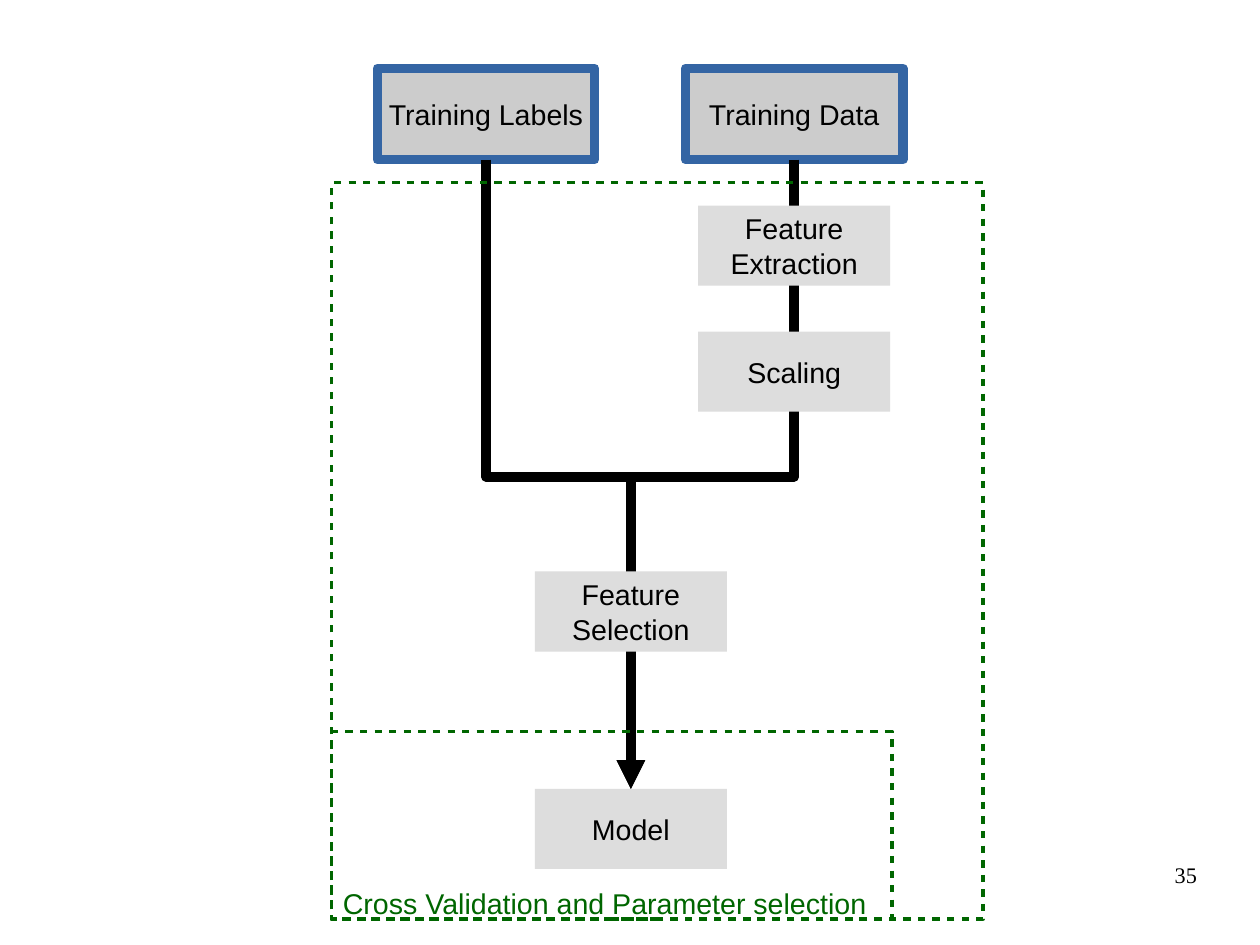
from dataclasses import dataclass

from lxml import etree
from pptx import Presentation
from pptx.dml.color import RGBColor
from pptx.enum.shapes import MSO_CONNECTOR, MSO_SHAPE
from pptx.enum.text import MSO_ANCHOR, PP_ALIGN
from pptx.oxml.ns import qn
from pptx.util import Cm, Pt

RECT = MSO_SHAPE.RECTANGLE
ELBOW = MSO_CONNECTOR.ELBOW
MIDDLE = MSO_ANCHOR.MIDDLE
TOP = MSO_ANCHOR.TOP
LEFT, CENTER, RIGHT = PP_ALIGN.LEFT, PP_ALIGN.CENTER, PP_ALIGN.RIGHT


@dataclass(frozen=True)
class Theme:
    ink: str = "000000"
    input: str = "CCCCCC"
    step: str = "DDDDDD"
    blue: str = "3465A4"
    green: str = "006600"
    sans: str = "Arial"
    serif: str = "Times New Roman"
    body: float = 18
    small: float = 14
    thick: float = 6
    thin: float = 2.3


THEME = Theme()


def stroke(shape, color, width, dash=False):
    shape.line.color.rgb = RGBColor.from_string(color)
    shape.line.width = Pt(width)
    line = shape.element.spPr.find(qn("a:ln"))
    if dash:
        dashes = etree.SubElement(line, qn("a:custDash"))
        etree.SubElement(dashes, qn("a:ds"), d="200000", sp="200000")
    etree.SubElement(line, qn("a:round"))
    return line


def write(frame, lines, align, color=THEME.ink, font=THEME.sans, size=THEME.body):
    for index, text in enumerate(lines):
        para = frame.paragraphs[0] if index == 0 else frame.add_paragraph()
        para.alignment = align
        run = para.add_run()
        run.text = text
        run.font.name = font
        run.font.size = Pt(size)
        run.font.color.rgb = RGBColor.from_string(color)


def inset(frame, side, edge):
    frame.margin_left = frame.margin_right = Cm(side)
    frame.margin_top = frame.margin_bottom = Cm(edge)


def rect(slide, left, top, width, height):
    shape = slide.shapes.add_shape(RECT, Cm(left), Cm(top), Cm(width), Cm(height))
    shape.shadow.inherit = False
    return shape


def box(slide, lines, mid, top, width, height, fill, border=None):
    shape = rect(slide, mid - width / 2, top, width, height)
    shape.fill.solid()
    shape.fill.fore_color.rgb = RGBColor.from_string(fill)
    if border:
        stroke(shape, border, THEME.thick)
    else:
        shape.line.fill.background()
    frame = shape.text_frame
    frame.word_wrap = False
    frame.vertical_anchor = MIDDLE
    pad = 0.1 if border else 0
    inset(frame, 0.25 + pad, 0.13 + pad)
    write(frame, lines, CENTER)


def source(slide, text, mid):
    box(slide, [text], mid, 1.52, 4.83, 2.03, THEME.input, THEME.blue)


def step(slide, lines, mid, top):
    box(slide, lines, mid, top, 4.27, 1.78, THEME.step)


def arrow(slide, start, end, top, bottom):
    mid_x, mid_y = (start + end) / 2, (top + bottom) / 2
    half, rise = (bottom - top) / 2, abs(end - start) / 2
    flip = 1 if start > end else -1
    link = slide.shapes.add_connector(
        ELBOW, Cm(mid_x - flip * half), Cm(mid_y - rise),
        Cm(mid_x + flip * half), Cm(mid_y + rise))
    props = link.element.spPr
    props.find(qn("a:xfrm")).set("rot", str((90 if flip > 0 else 270) * 60000))
    guides = props.find(qn("a:prstGeom")).find(qn("a:avLst"))
    etree.SubElement(guides, qn("a:gd"), name="adj1", fmla="val 50400")
    line = stroke(link, THEME.ink, THEME.thick)
    etree.SubElement(line, qn("a:tailEnd"), type="triangle")
    etree.SubElement(props, qn("a:effectLst"))


def frame(slide, left, top, width, height):
    shape = rect(slide, left, top, width, height)
    shape.fill.background()
    stroke(shape, THEME.green, THEME.thin, dash=True)


def label(slide, text, left, top, width, height, align, side, edge, **style):
    area = slide.shapes.add_textbox(Cm(left), Cm(top), Cm(width), Cm(height)).text_frame
    area.word_wrap = True
    area.vertical_anchor = TOP
    inset(area, side, edge)
    write(area, [text], align, **style)


def main():
    deck = Presentation()
    deck.slide_width, deck.slide_height = Cm(28), Cm(21)
    slide = deck.slides.add_slide(deck.slide_layouts[6])
    labels, data, model = 10.8, 17.65, 14.02
    edge, base = 7.37, 20.42
    goal = 17.53

    source(slide, "Training Data", data)
    source(slide, "Training Labels", labels)
    step(slide, ["Model"], model, goal)
    for start in (data, labels):
        arrow(slide, start, model, 3.55, goal)
    step(slide, ["Feature", "Extraction"], data, 4.57)
    step(slide, ["Scaling"], data, 7.37)
    step(slide, ["Feature", "Selection"], model, 12.7)

    frame(slide, edge, 16.26, 12.45, base - 16.26)
    label(slide, "Cross Validation and Parameter selection", edge, 19.56, 12.45, 0.97,
          LEFT, 0.25, 0.13, color=THEME.green)
    frame(slide, edge, 4.06, 14.48, base - 4.06)
    label(slide, "35", 20.07, 19.13, 6.53, 1.45, RIGHT, 0, 0,
          font=THEME.serif, size=THEME.small)
    deck.save("out.pptx")


if __name__ == "__main__":
    main()
